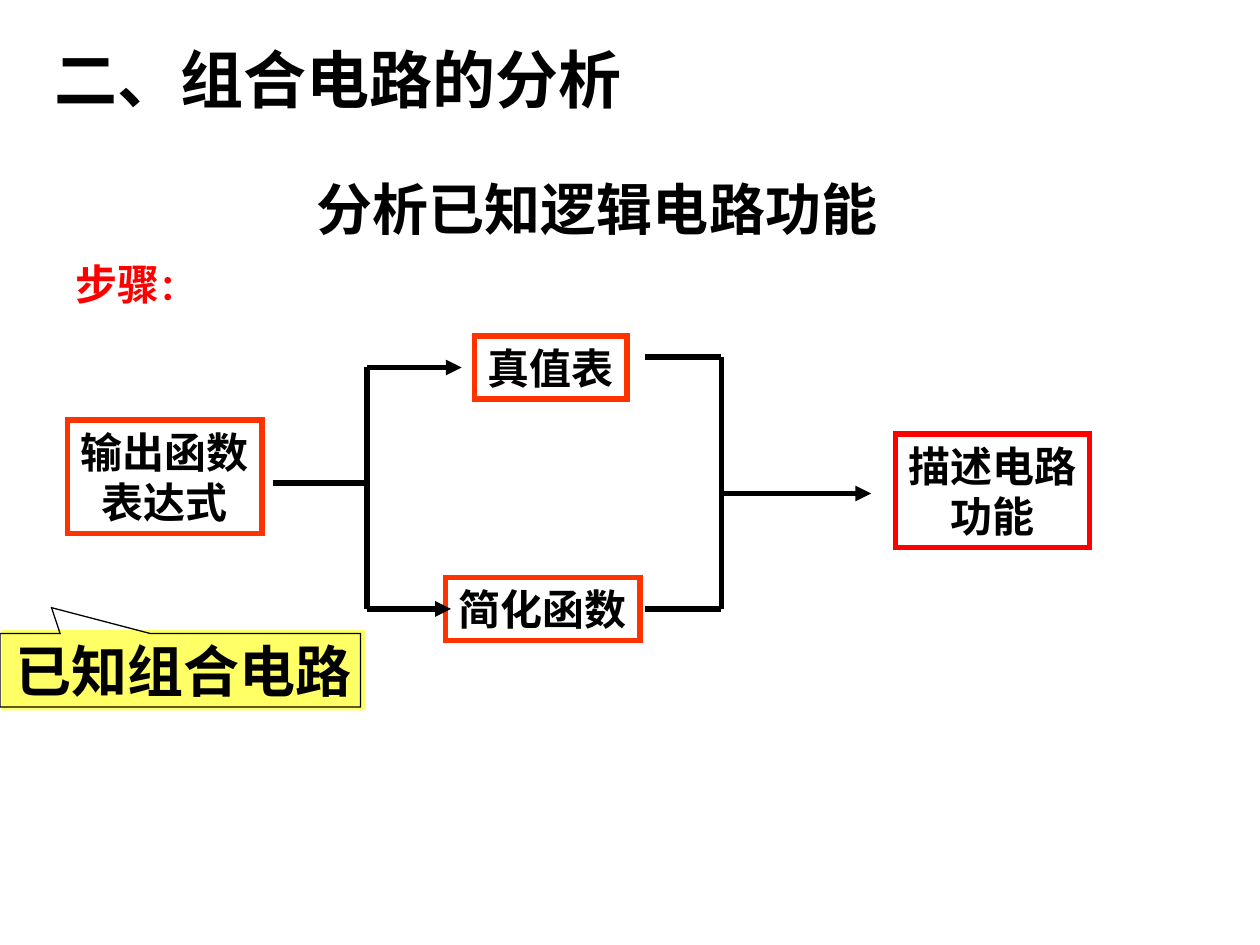
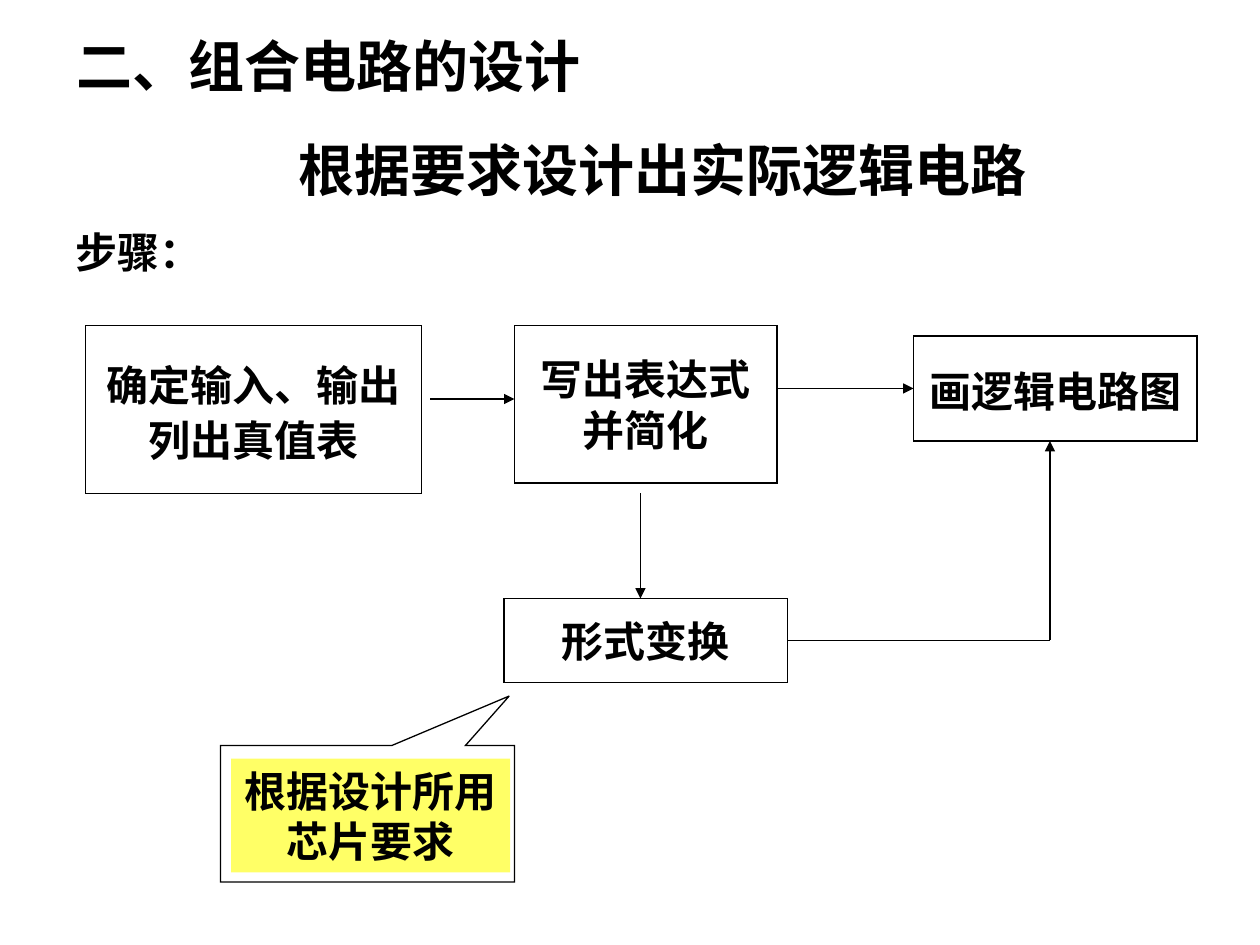
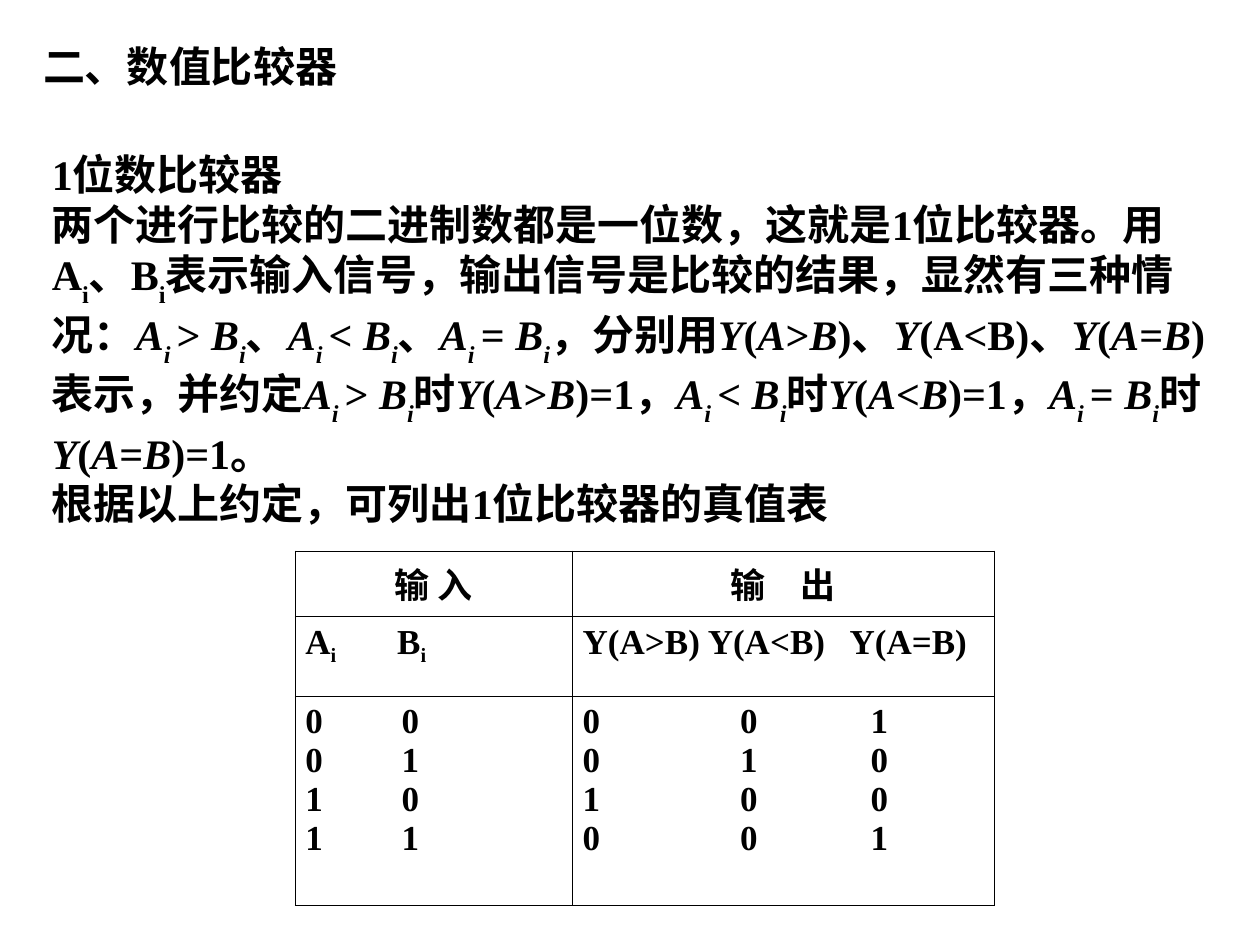
from lxml import etree
from pptx import Presentation
from pptx.dml.color import RGBColor
from pptx.enum import shapes, text
from pptx.oxml.ns import qn
from pptx.util import Pt

INK = {"black": "000000", "red": "FF0000", "orange": "FF3300", "yellow": "FFFF66"}
LATIN, HAN = "Times New Roman", "Noto Sans CJK SC"
LEFT, MID = text.PP_ALIGN.LEFT, text.PP_ALIGN.CENTER
TOP, CORE = text.MSO_ANCHOR.TOP, text.MSO_ANCHOR.MIDDLE


def rgb(name):
    return RGBColor.from_string(INK[name])


# Text: *...* is italic, _..._ is subscript
def add_run(para, words, size=24, color="black", face=LATIN, slant=False, base=0):
    run = para.add_run()
    run.text = words
    font = run.font
    font.size, font.bold, font.name = Pt(size), True, face
    font.color.rgb = rgb(color)
    if slant:
        font.italic = True
    props = run._r.get_or_add_rPr()
    if base:
        props.set("baseline", str(base * 1000))
    etree.SubElement(props, qn("a:ea")).set("typeface", HAN)


def write(frame, lines, align=LEFT, space=None, tabs=(), sub=-30, **style):
    for n, line in enumerate(lines.split("\n")):
        para = frame.add_paragraph() if n else frame.paragraphs[0]
        if tabs:
            stops = etree.SubElement(para._p.get_or_add_pPr(), qn("a:tabLst"))
            for stop in tabs:
                etree.SubElement(stops, qn("a:tab"), pos=str(Pt(stop)), algn="l")
        para.alignment = align
        if space:
            para.line_spacing = space
        for i, part in enumerate(line.split("*")):
            for j, bit in enumerate(part.split("_")):
                if bit:
                    add_run(para, bit, slant=i % 2 == 1, base=sub * (j % 2), **style)


def set_frame(frame, anchor, wrap, fit):
    frame.word_wrap = wrap
    frame.vertical_anchor = anchor
    frame.auto_size = (text.MSO_AUTO_SIZE.SHAPE_TO_FIT_TEXT if fit
                       else text.MSO_AUTO_SIZE.NONE)


def label(slide, box, lines, anchor=TOP, wrap=False, fit=True, **style):
    frame = slide.shapes.add_textbox(*map(Pt, box)).text_frame
    set_frame(frame, anchor, wrap, fit)
    write(frame, lines, **style)
    return frame


# Shapes and lines
def block(slide, box, lines="", kind=shapes.MSO_SHAPE.RECTANGLE, fill=None,
          line="black", width=0.75, fit=False, **style):
    shape = slide.shapes.add_shape(kind, *map(Pt, box))
    shape.shadow.inherit = False
    if fill:
        shape.fill.solid()
        shape.fill.fore_color.rgb = rgb(fill)
    else:
        shape.fill.background()
    if line:
        shape.line.color.rgb = rgb(line)
        shape.line.width = Pt(width)
        etree.SubElement(shape._element.spPr.find(qn("a:ln")), qn("a:miter"),
                         lim="800000")
    else:
        shape.line.fill.background()
    if lines:
        set_frame(shape.text_frame, CORE, False, fit)
        write(shape.text_frame, lines, align=MID, **style)
    return shape


def wire(slide, x1, y1, x2, y2, width=0.75, arrow=False):
    link = slide.shapes.add_connector(shapes.MSO_CONNECTOR.STRAIGHT,
                                      Pt(x1), Pt(y1), Pt(x2), Pt(y2))
    link.line.color.rgb = rgb("black")
    link.line.width = Pt(width)
    props = link._element.spPr
    if arrow:
        etree.SubElement(props.find(qn("a:ln")), qn("a:tailEnd"), type="triangle")
    etree.SubElement(props, qn("a:effectLst"))
    return link


# Callout with a yellow marked text; mark is relative to the callout
def note(slide, box, mark, tip, lines, size):
    x, y = box[:2]
    dx, dy, w, h = mark
    block(slide, (x + dx, y + dy, w, h), lines, fill="yellow", line=None,
          fit=True, size=size, face=HAN)
    shape = block(slide, box, kind=shapes.MSO_SHAPE.RECTANGULAR_CALLOUT)
    shape.adjustments[0], shape.adjustments[1] = tip


# Steps of the analysis
def study(slide, x, y):
    for dx, dy, w, h, lines, color in (
            (0, 48, 111, 65, "输出函数\n表达式", "orange"),
            (216, 138, 111, 36, "简化函数", "orange"),
            (232.5, 0, 87, 36, "真值表", "orange"),
            (473, 56, 111, 65, "描述电路\n功能", "red")):
        block(slide, (x + dx, y + dy, w, h), lines, line=color, width=3, fit=True)
    fork, join = 171, 373.5
    for x1, y1, x2, y2, arrow in (
            (117, 84, fork, 84, False), (fork, 18, fork, 156, False),
            (fork, 18, 225, 18, True), (fork, 156, 219, 156, True),
            (join, 90, 459, 90, True), (join, 12, join, 156, False),
            (330, 156, join, 156, False), (330, 12, join, 12, False)):
        wire(slide, x + x1, y + y1, x + x2, y + y2, 3, arrow)


# Steps of the design
def design(slide, x, y):
    def step(dx, dy, w, h, lines, **style):
        return block(slide, (x + dx, y + dy, w, h), lines, **style)

    def path_to(x1, y1, x2, y2, arrow=True):
        return wire(slide, x + x1, y + y1, x + x2, y + y2, arrow=arrow)

    step(0, 0, 192, 96, "确定输入、输出\n列出真值表", space=1.1)
    step(245, 0, 150, 90, "写出表达式\n并简化")
    draw = step(473, 6, 162, 60, "画逻辑电路图", space=1.1)
    form = step(239, 156, 162, 48, "形式变换")
    path_to(197, 42, 245, 42)
    path_to(395, 36, 473, 36).end_connect(draw, 1)
    path_to(317, 96, 317, 156)
    path_to(401, 180, 551, 180, arrow=False).begin_connect(form, 3)
    path_to(551, 180, 551, 66)


# Truth table
def edge(cell, side, width):
    line = etree.SubElement(cell._tc.get_or_add_tcPr(), qn("a:" + side), w=str(Pt(width)))
    fill = etree.SubElement(line, qn("a:solidFill"))
    etree.SubElement(fill, qn("a:srgbClr"), val=INK["black"])


def truth(slide, x, y, w, h):
    rows = (
        (("输 入", ()), ("输　出", ())),
        (("A_i_\tB_i_", (52.5,)), ("Y(A>B)\tY(A<B)\tY(A=B)", (71.5, 152.5))),
        (("0\t0\n0\t1\n1\t0\n1\t1", (55,)),
         ("0\t0\t1\n0\t1\t0\n1\t0\t0\n0\t0\t1", (90, 164.5))))
    grid = slide.shapes.add_table(3, 2, Pt(x), Pt(y), Pt(w), Pt(h)).table
    grid.first_row = grid.horz_banding = False
    for col, wide in zip(grid.columns, (158.5, w - 158.5)):
        col.width = Pt(wide)
    for row, high in zip(grid.rows, (37.25, 45.5, h - 82.75)):
        row.height = Pt(high)
    flat = (0.75, 0.75, 0.45, 0.75)
    tall = (0.75, 0.45, 0.75)
    for r, row in enumerate(rows):
        for c, (lines, tabs) in enumerate(row):
            cell = grid.cell(r, c)
            cell.margin_left = cell.margin_right = Pt(5.75)
            for side, width in (("lnL", tall[c]), ("lnR", tall[c + 1]),
                                ("lnT", flat[r]), ("lnB", flat[r + 1])):
                edge(cell, side, width)
            cell.fill.background()
            write(cell.text_frame, lines, align=LEFT if r else MID,
                  tabs=tabs, sub=-25, size=20)


# Explanation of the comparator
def theory():
    def pair(sign):
        return f"*A_i _*{sign} *B_i_*"

    def out(sign):
        return f"*Y*(*A*{sign}*B*)"

    cases = "、".join(map(pair, "><="))
    rules = "，".join(f"{pair(s)}时{out(s)}=1" for s in "><=")
    return ("1位数比较器\n"
            "两个进行比较的二进制数都是一位数，这就是1位比较器。用A_i_、B_i_"
            "表示输入信号，输出信号是比较的结果，显然有三种情况："
            f"{cases}，分别用{out('>')}、*Y*(A<B)、{out('=')}表示，并约定{rules}。\n"
            "根据以上约定，可列出1位比较器的真值表")


def main():
    deck = Presentation()
    deck.slide_width, deck.slide_height = Pt(720), Pt(540)
    one, two, three = (deck.slides.add_slide(deck.slide_layouts[6]) for _ in range(3))

    # Analysis
    label(one, (24, 18, 420, 54), "二、组合电路的分析", anchor=CORE, wrap=True,
          fit=False, size=36)
    label(one, (174, 96, 420, 46), "分析已知逻辑电路功能", wrap=True, size=32)
    head = label(one, (36, 144, 83, 36), "步骤", color="red")
    add_run(head.paragraphs[0], "：", size=20, color="red")
    study(one, 38.75, 192)
    note(one, (0, 362, 206, 42), (1, -2, 207.5, 46), (-0.357, -0.851),
         "已知组合电路", 32)

    # Design
    label(two, (36.75, 14.5, 304, 46), "二、组合电路的设计", size=32)
    label(two, (36, 126, 88, 36), "步骤：")
    label(two, (163.5, 74, 432, 46), "根据要求设计出实际逻辑电路", size=32)
    design(two, 49, 186)
    note(two, (126, 426, 168, 78), (6, 7.5, 159.5, 65), (0.482, -0.862),
         "根据设计所用\n芯片要求", 24)

    # Comparator
    label(three, (17.5, 19.5, 184, 36), "二、数值比较器")
    label(three, (22.5, 78.5, 674.5, 229.5), theory(), anchor=CORE, wrap=True)
    truth(three, 168.75, 315, 399.5, 202.25)
    deck.save("out.pptx")


if __name__ == "__main__":
    main()
